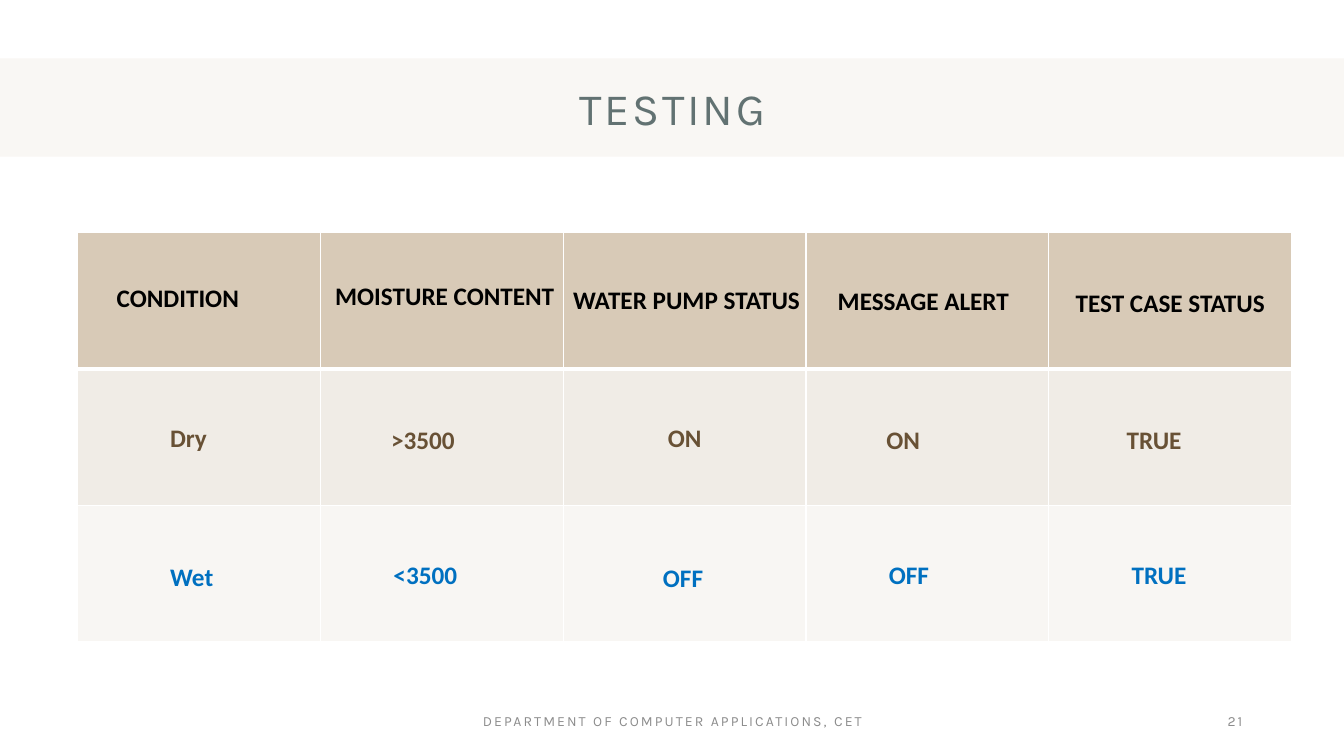
from lxml.etree import SubElement
from pptx import Presentation
from pptx.dml.color import RGBColor
from pptx.enum.shapes import MSO_SHAPE
from pptx.enum.text import MSO_ANCHOR as Anchor, MSO_AUTO_SIZE as AutoSize, PP_ALIGN as Align
from pptx.oxml import parse_xml
from pptx.oxml.ns import nsdecls, qn
from pptx.util import Inches, Pt

WIDTH, HEIGHT = 13.33, 7.5
TABLE_LEFT, TABLE_TOP = 0.77, 2.31
COLUMN, ROW = 2.408, 1.353

SAND = RGBColor(0xD8, 0xCA, 0xB7)
SAND_LIGHT = RGBColor(0xF0, 0xEC, 0xE6)
SAND_PALE = RGBColor(0xF8, 0xF6, 0xF3)
SLATE = RGBColor(0x62, 0x72, 0x72)
GREY = RGBColor(0x8C, 0x8C, 0x8C)
BLACK = RGBColor(0, 0, 0)
BROWN = RGBColor(0x68, 0x51, 0x35)
BLUE = RGBColor(0x00, 0x70, 0xC0)

# label, then its offset in the cell as shares of a column and a row
TEST_ROWS = [
    (SAND, BLACK, 1.12, [
        ("CONDITION", 0.12, 0.33),
        ("MOISTURE CONTENT", 0.02, 0.31),
        ("WATER PUMP STATUS", 0, 0.34),
        ("MESSAGE ALERT", 0.09, 0.35),
        ("TEST CASE STATUS", 0.07, 0.36),
    ]),
    (SAND_LIGHT, BROWN, 0.39, [
        ("Dry", 0.34, 0.35),
        (">3500", 0.25, 0.37),
        ("ON", 0.39, 0.35),
        ("ON", 0.29, 0.37),
        ("TRUE", 0.28, 0.37),
    ]),
    (SAND_PALE, BLUE, 0.39, [
        ("Wet", 0.34, 0.37),
        ("<3500", 0.26, 0.36),
        ("OFF", 0.37, 0.38),
        ("OFF", 0.3, 0.36),
        ("TRUE", 0.3, 0.36),
    ]),
]


def place(shape, left, top, width, height):
    shape.left, shape.top = Inches(left), Inches(top)
    shape.width, shape.height = Inches(width), Inches(height)


def write(frame, text, font_name, size, color, align, bold=False, spacing=0):
    frame.word_wrap = True
    paragraph = frame.paragraphs[0]
    paragraph.text = text
    paragraph.alignment = align
    font = paragraph.font
    font.name, font.size, font.bold = font_name, Pt(size), bold
    font.color.rgb = color
    if spacing:
        paragraph.runs[0]._r.get_or_add_rPr().set("spc", str(int(spacing * 100)))
    return paragraph


def add_heading(slide, text):
    title = slide.shapes.title
    band = slide.shapes.add_shape(
        MSO_SHAPE.RECTANGLE, 0, Inches(0.58), Inches(WIDTH), Inches(0.13 * HEIGHT))
    band.shadow.inherit = False
    band.fill.solid()
    band.fill.fore_color.rgb = SAND
    tint = band.element.spPr.find(qn("a:solidFill"))[0]
    SubElement(tint, qn("a:alpha")).set("val", "15000")
    band.line.fill.background()
    title.element.addprevious(band.element)

    place(title, 0.92, 0.71, 11.5, 0.79)
    title.text_frame.vertical_anchor = Anchor.MIDDLE
    title.text_frame.auto_size = AutoSize.NONE
    write(title.text_frame, text, "Karla", 32, SLATE, Align.CENTER,
          spacing=2).line_spacing = 0.9


def add_footer(slide, text, left, width, align):
    footer = slide.shapes.add_textbox(
        Inches(left), Inches(6.95), Inches(width), Inches(0.4))
    footer.text_frame.vertical_anchor = Anchor.MIDDLE
    write(footer.text_frame, text, "Karla", 10, GREY, align, spacing=1.5)


def add_borders(cell, row):
    top, bottom = (3 if row == 1 else 1), (3 if row == 0 else 1)
    sides = [("lnL", 1), ("lnR", 1), ("lnT", top), ("lnB", bottom)]
    properties = cell._tc.get_or_add_tcPr()
    for index, (side, points) in enumerate(sides):
        properties.insert(index, parse_xml(
            f'<a:{side} {nsdecls("a")} w="{Pt(points)}"><a:solidFill>'
            f'<a:srgbClr val="FFFFFF"/></a:solidFill></a:{side}>'))


def add_grid(slide):
    rows, columns = len(TEST_ROWS), len(TEST_ROWS[0][3])
    grid = slide.shapes.add_table(
        rows, columns, Inches(TABLE_LEFT), Inches(TABLE_TOP),
        Inches(columns * COLUMN), Inches(rows * ROW)).table
    grid.first_row = grid.horz_banding = False
    for row, (fill, *_) in enumerate(TEST_ROWS):
        for column in range(columns):
            cell = grid.cell(row, column)
            cell.fill.solid()
            cell.fill.fore_color.rgb = fill
            add_borders(cell, row)


def add_labels(slide):
    for row, (_, color, span, labels) in enumerate(TEST_ROWS):
        for column, (text, across, down) in enumerate(labels):
            label = slide.shapes.add_textbox(
                Inches(TABLE_LEFT + (column + across) * COLUMN),
                Inches(TABLE_TOP + (row + down) * ROW),
                Inches(span * COLUMN), Inches(0.4))
            label.text_frame.auto_size = AutoSize.SHAPE_TO_FIT_TEXT
            write(label.text_frame, text, "Calibri", 18, color, Align.LEFT, bold=True)


def main():
    deck = Presentation()
    deck.slide_width, deck.slide_height = Inches(WIDTH), Inches(HEIGHT)
    slide = deck.slides.add_slide(deck.slide_layouts[5])
    add_heading(slide, "TESTING")
    add_footer(slide, "DEPARTMENT OF COMPUTER APPLICATIONS, CET", 4.42, 4.5, Align.CENTER)
    add_footer(slide, "21", 9.42, 3, Align.RIGHT)
    add_grid(slide)
    add_labels(slide)
    deck.save("out.pptx")


if __name__ == "__main__":
    main()
